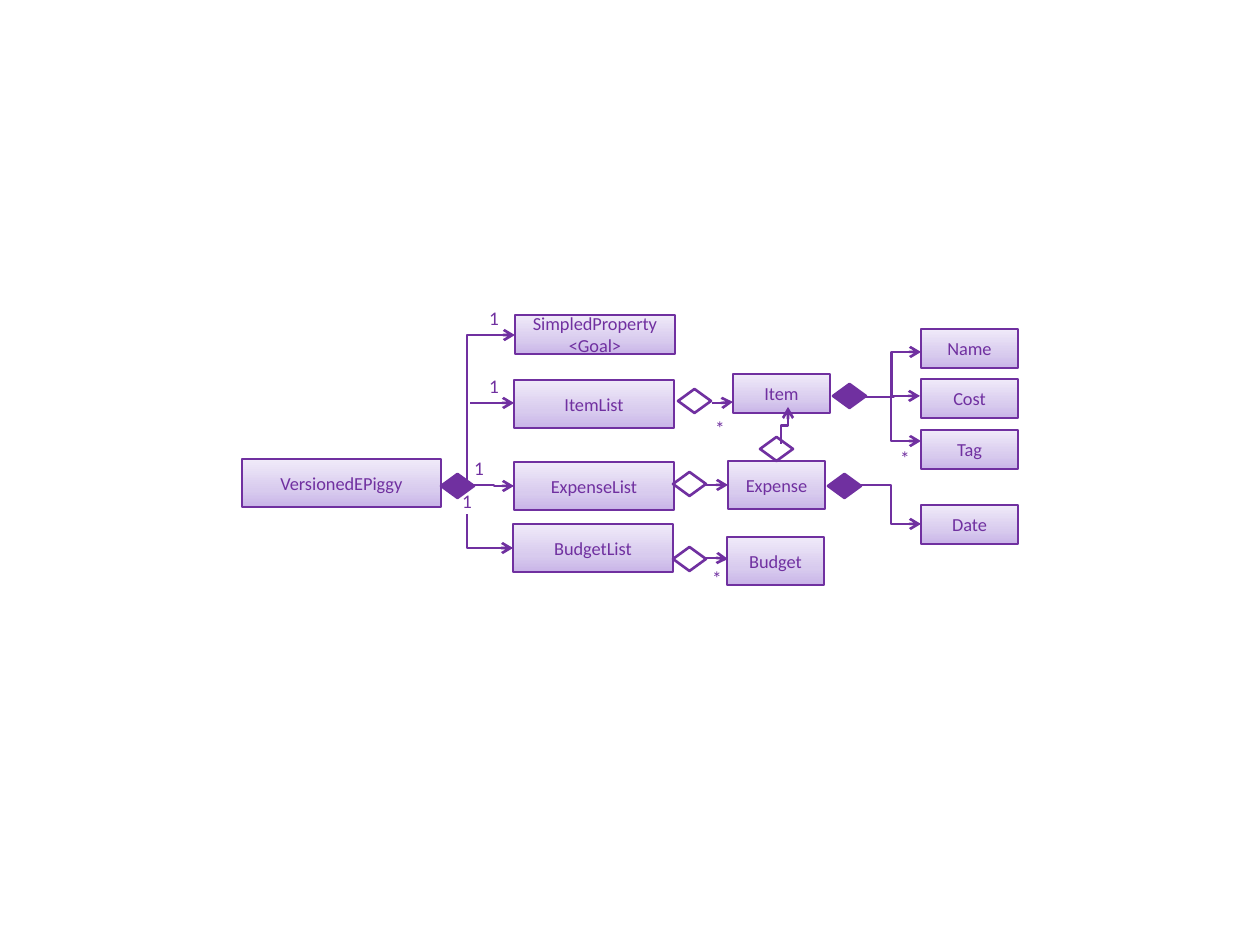
from copy import deepcopy

from lxml.etree import SubElement
from pptx import Presentation
from pptx.dml.color import RGBColor
from pptx.enum.shapes import MSO_CONNECTOR as CONN, MSO_SHAPE as SHAPE
from pptx.enum.text import MSO_ANCHOR as ANCHOR, PP_ALIGN as ALIGN
from pptx.oxml.ns import qn
from pptx.util import Emu, Inches, Pt

COLORS = {"purple": "7030A0", "dark": "C9B5E8", "mid": "D8CBEE", "light": "F0EAF9"}
STOPS = [("dark", 0), ("mid", 0.35), ("light", 1)]
FONT = "Calibri"


def px(*values):
    """Turn pixels into EMU lengths."""
    return [Emu(round(v * 914400 / 126)) for v in values]


def rgb(name):
    """Look up a colour."""
    return RGBColor.from_string(COLORS[name])


def outline(sp):
    """Give a shape or connector the diagram line."""
    sp.line.color.rgb = rgb("purple")
    sp.line.width = Pt(1.5)


def write(tf, text, size):
    """Set centred purple text."""
    tf.word_wrap = True
    tf.text = text
    for p in tf.paragraphs:
        p.alignment = ALIGN.CENTER
        for r in p.runs:
            r.font.name, r.font.size = FONT, Pt(size)
            r.font.color.rgb = rgb("purple")


def add_class(shapes, text, x, y, w, h):
    """Add a class box with a gradient fill."""
    sp = shapes.add_shape(SHAPE.RECTANGLE, *px(x, y, w, h))
    sp.shadow.inherit = False
    outline(sp)
    sp.fill.gradient()
    sp.fill.gradient_angle = 90
    stops = sp._element.spPr.find(qn("a:gradFill")).find(qn("a:gsLst"))
    stops.append(deepcopy(stops[0]))
    for stop, (name, position) in zip(sp.fill.gradient_stops, STOPS):
        stop.color.rgb = rgb(name)
        stop.position = position
    sp.text_frame.vertical_anchor = ANCHOR.MIDDLE
    write(sp.text_frame, text, 10.5)


def add_diamond(shapes, x, y, filled=False):
    """Add a composition (filled) or aggregation (open) diamond."""
    sp = shapes.add_shape(SHAPE.FLOWCHART_DECISION, *px(x, y, 33, 24))
    sp.shadow.inherit = False
    outline(sp)
    if filled:
        sp.fill.solid()
        sp.fill.fore_color.rgb = rgb("purple")
    else:
        sp.fill.background()


def add_label(shapes, text, x, y):
    """Add a multiplicity label."""
    tf = shapes.add_textbox(*px(x, y, 26, 25)).text_frame
    tf.margin_left = tf.margin_right = tf.margin_top = tf.margin_bottom = 0
    write(tf, text, 11)


def add_arrow(shapes, x1, y1, x2, y2, upright=None):
    """Add an elbow arrow; upright names the preset of one that leaves vertically."""
    c = shapes.add_connector(CONN.ELBOW, *px(x1, y1, x2, y2))
    outline(c)
    spPr = c._element.spPr
    if upright:
        w, h = abs(x2 - x1), abs(y2 - y1)
        c.left, c.top, c.width, c.height = px(
            (x1 + x2 - h) / 2, (y1 + y2 - w) / 2, h, w)
        c.rotation = 270 if hasattr(c, "rotation") else 0
        xfrm = spPr.find(qn("a:xfrm"))
        xfrm.set("rot", str(270 * 60000))
        xfrm.set("flipH", str(int(y2 > y1)))
        xfrm.set("flipV", "0")
        spPr.find(qn("a:prstGeom")).set("prst", upright)
    SubElement(spPr.find(qn("a:ln")), qn("a:tailEnd"), type="arrow")
    SubElement(spPr, qn("a:effectLst"))


def draw_owner(shapes, x, y):
    """Draw the owning class and its links to the lists."""
    add_class(shapes, "VersionedEPiggy", x, y + 153, 199, 48)
    add_diamond(shapes, x + 199, y + 168, True)
    for x1, y1, x2, y2, upright in [
            (232, 179, 272, 180, None), (228, 97, 272, 97, None),
            (225, 183, 273, 29, "bentConnector2"),
            (225, 208, 271, 242, "bentConnector2")]:
        add_arrow(shapes, x + x1, y + y1, x + x2, y + y2, upright)
    for dx, dy in [(239, 0), (239, 68), (224, 150), (212, 183)]:
        add_label(shapes, "1", x + dx, y + dy)


def draw_lists(shapes, x, y):
    """Draw the column of list classes."""
    for text, dx, dy, h in [("SimpledProperty\n<Goal>", 2, 0, 39), ("ItemList", 1, 65, 48),
                            ("ExpenseList", 1, 147, 48), ("BudgetList", 0, 209, 48)]:
        add_class(shapes, text, x + dx, y + dy, 160, h)


def draw_entries(shapes, x, y):
    """Draw the entry classes with their aggregation links."""
    for text, dx, dy, h in [("Item", 60, 0, 39), ("Expense", 55, 87, 48),
                            ("Budget", 54, 163, 48)]:
        add_class(shapes, text, x + dx, y + dy, 97, h)
    for dx, dy in [(5, 15), (0, 98), (0, 173), (87, 63)]:
        add_diamond(shapes, x + dx, y + dy)
    for x1, y1, x2, y2, upright in [
            (39, 29, 60, 28, None), (33, 111, 55, 111, None),
            (33, 184, 55, 185, None), (108, 70, 115, 33, "bentConnector3")]:
        add_arrow(shapes, x + x1, y + y1, x + x2, y + y2, upright)
    for dx, dy in [(34, 42), (31, 192)]:
        add_label(shapes, "*", x + dx, y + dy)


def draw_attributes(shapes, x, y):
    """Draw the attribute classes with their composition links."""
    for text, dy in [("Name", 0), ("Cost", 50), ("Tag", 101), ("Date", 176)]:
        add_class(shapes, text, x + 93, y + dy, 97, 39)
    for dx, dy in [(5, 55), (0, 145)]:
        add_diamond(shapes, x + dx, y + dy, True)
    for x1, y1, x2, y2 in [(34, 68, 93, 23), (39, 68, 92, 67),
                           (33, 68, 93, 112), (33, 156, 93, 195)]:
        add_arrow(shapes, x + x1, y + y1, x + x2, y + y2)
    add_label(shapes, "*", x + 64, y + 117)


prs = Presentation()
prs.slide_width, prs.slide_height = Inches(10), Inches(7.5)
shapes = prs.slides.add_slide(prs.slide_layouts[6]).shapes
draw_owner(shapes, 242, 306)
draw_lists(shapes, 513, 315)
draw_entries(shapes, 673, 374)
draw_attributes(shapes, 828, 329)
prs.save("out.pptx")
